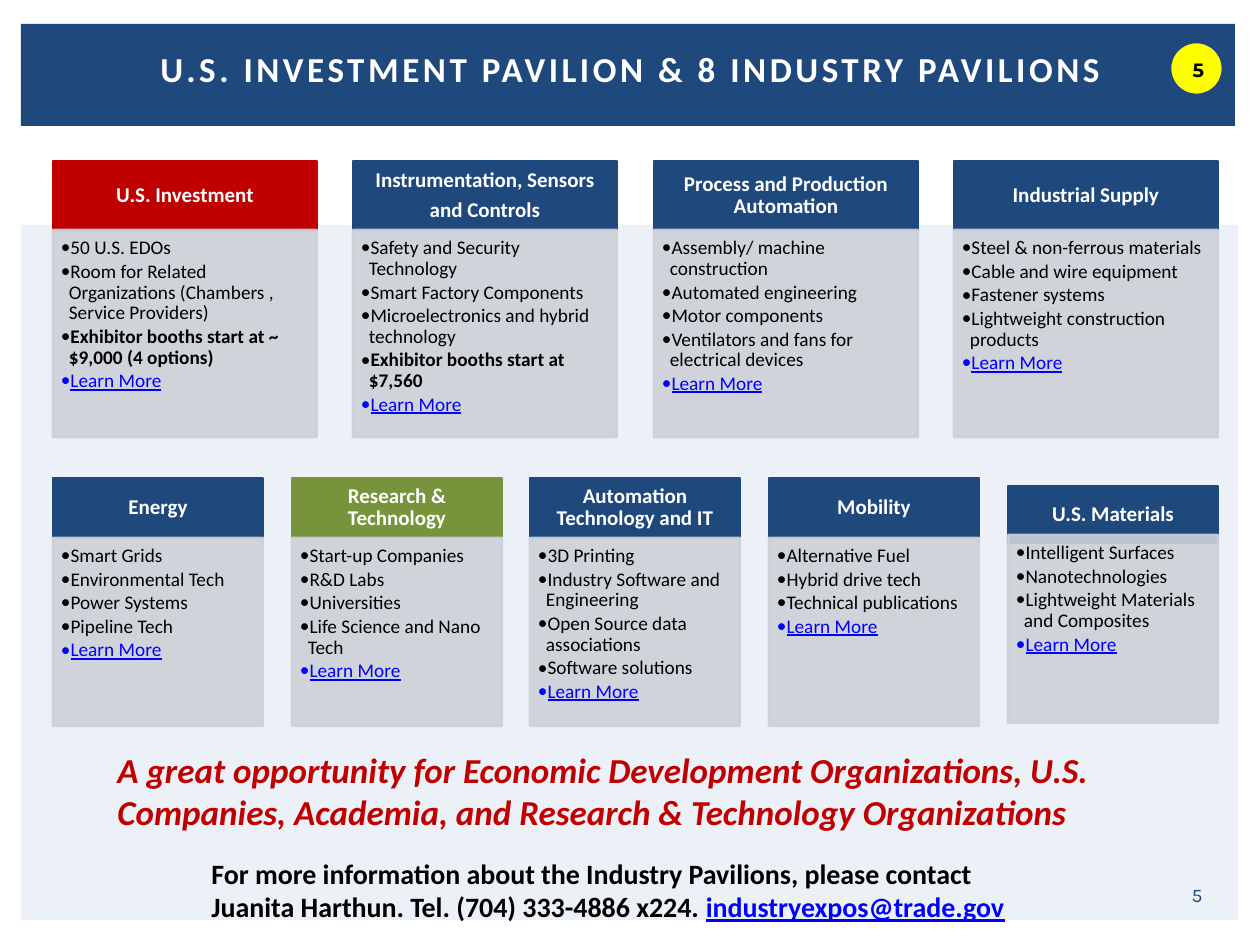
import dataclasses
import typing
import pptx
import pptx.dml.color
import pptx.enum.shapes
import pptx.enum.text
import pptx.oxml
import pptx.oxml.ns
import pptx.util

DPI = 126
NAVY, RED, GREEN = "1F497D", "C00000", "77933C"
WHITE, BLACK, BLUE = "FFFFFF", "000000", "0000FF"
GREY, PALE, YELLOW = "CDD0D7", "ECF1F8", "FFFF00"
KIND = pptx.enum.shapes.MSO_SHAPE
ALIGN = pptx.enum.text.PP_ALIGN
ANCHOR = pptx.enum.text.MSO_ANCHOR


class Box(typing.NamedTuple):
    x: int
    y: int
    w: int
    h: int


@dataclasses.dataclass
class Card:
    head: list[str]
    items: list[str]
    price: str = ""
    hue: str = NAVY


@dataclasses.dataclass
class Row:
    cards: list[Card]
    width: int
    top: int
    head: int
    body: int
    depth: int


TOP = Row([
    Card(["U.S. Investment"],
         ["50 U.S. EDOs",
          "Room for Related Organizations (Chambers , Service Providers)"],
         "Exhibitor booths start at ~ $9,000 (4 options)", RED),
    Card(["Instrumentation, Sensors", "and Controls"],
         ["Safety and Security Technology", "Smart Factory Components",
          "Microelectronics and hybrid technology"],
         "Exhibitor booths start at $7,560"),
    Card(["Process and Production Automation"],
         ["Assembly/ machine construction", "Automated engineering",
          "Motor components", "Ventilators and fans for electrical devices"]),
    Card(["Industrial Supply"],
         ["Steel & non-ferrous materials", "Cable and wire equipment",
          "Fastener systems", "Lightweight construction products"]),
], 264, 161, 69, 230, 207)

LOW = Row([
    Card(["Energy"], ["Smart Grids", "Environmental Tech", "Power Systems",
                      "Pipeline Tech"]),
    Card(["Research & Technology"],
         ["Start-up Companies", "R&D Labs", "Universities",
          "Life Science and Nano Tech"], hue=GREEN),
    Card(["Automation Technology and IT"],
         ["3D Printing", "Industry Software and Engineering",
          "Open Source data associations", "Software solutions"]),
    Card(["Mobility"], ["Alternative Fuel", "Hybrid drive tech",
                        "Technical publications"]),
    Card(["U.S. Materials"],
         ["Intelligent Surfaces", "Nanotechnologies",
          "Lightweight Materials and Composites"]),
], 210, 478, 59, 538, 188)


def px(n: int) -> pptx.util.Emu:
    return pptx.util.Emu(round(n * 914400 / DPI))


def tint(color, hue: str) -> None:
    color.rgb = pptx.dml.color.RGBColor.from_string(hue)


def fade(shape, share: int) -> None:
    """Give the fill and line of a shape the same opacity."""
    for clr in shape._element.spPr.iter(pptx.oxml.ns.qn("a:srgbClr")):
        alpha = pptx.oxml.parse_xml(
            '<a:alpha %s val="%d"/>' % (pptx.oxml.ns.nsdecls("a"), share * 1000))
        clr.append(alpha)


def place(shape, box: Box) -> None:
    names = ("left", "top", "width", "height")
    for name, n in zip(names, box):
        setattr(shape, name, px(n))


def inset(frame, *sides: int) -> None:
    for name, n in zip(("left", "top", "right", "bottom"), sides):
        setattr(frame, "margin_" + name, px(n))


def block(slide, box: Box, hue: str, edge: str = "", kind=KIND.RECTANGLE):
    shape = slide.shapes.add_shape(kind, *map(px, box))
    shape.shadow.inherit = False
    shape.fill.solid()
    tint(shape.fill.fore_color, hue)
    if edge:
        tint(shape.line.color, edge)
        shape.line.width = pptx.util.Pt(1.5)
    else:
        shape.line.fill.background()
    return shape


def label(slide, box: Box):
    frame = slide.shapes.add_textbox(*map(px, box)).text_frame
    frame.word_wrap = True
    return frame


def line(frame, first: bool, **form):
    para = frame.paragraphs[0] if first else frame.add_paragraph()
    for name, val in form.items():
        setattr(para, name, val)
    return para


def write(para, text: str, size: int, hue: str, face: str = "Calibri", **form):
    run = para.add_run()
    run.text = text
    form = {"name": face, "size": pptx.util.Pt(size), **form}
    for name, val in form.items():
        setattr(run.font, name, val)
    tint(run.font.color, hue)
    return run


def bullet(para) -> None:
    props = para._p.get_or_add_pPr()
    props.set("marL", str(px(8)))
    props.set("indent", str(-px(8)))
    space = pptx.oxml.ns.nsdecls("a")
    for tag in ('buFont %s typeface="Calibri"', 'buChar %s char="••"'):
        props.append(pptx.oxml.parse_xml("<a:" + tag % space + "/>"))


def draw_card(slide, card: Card, head: Box, body: Box) -> None:
    # Heading bar
    frame = block(slide, head, card.hue, card.hue).text_frame
    inset(frame, 11, 6, 11, 6)
    for i, text in enumerate(card.head):
        para = line(frame, i == 0, alignment=ALIGN.CENTER, line_spacing=0.9,
                    space_after=pptx.util.Pt(4.5))
        write(para, text, 12, WHITE, bold=True)
    # List panel
    panel = block(slide, body, GREY, GREY)
    fade(panel, 90)
    frame = panel.text_frame
    frame.vertical_anchor = ANCHOR.TOP
    inset(frame, 8, 8, 11, 13)
    rows = [(text, BLACK, {}) for text in card.items]
    if card.price:
        rows.append((card.price, BLACK, {"bold": True}))
    rows.append(("Learn More", BLUE, {"underline": True}))
    for i, (text, hue, form) in enumerate(rows):
        para = line(frame, i == 0, alignment=ALIGN.LEFT, line_spacing=0.9,
                    space_after=pptx.util.Pt(1.6))
        bullet(para)
        write(para, text, 11, hue, **form)


def draw_row(slide, row: Row, left: int = 53, right: int = 1218) -> None:
    step = (right - left - row.width) / (len(row.cards) - 1)
    for i, card in enumerate(row.cards):
        x = round(left + i * step)
        head = Box(x, row.top, row.width, row.head)
        body = Box(x, row.body, row.width, row.depth)
        # The last card of the lower row sits with its panel over its heading
        if row is LOW and card is row.cards[-1]:
            head = head._replace(y=row.top + 8, h=row.head - 2)
            body = body._replace(y=row.body - 3)
        draw_card(slide, card, head, body)


def main() -> None:
    deck = pptx.Presentation()
    deck.slide_width, deck.slide_height = px(1260), px(945)
    slide = deck.slides.add_slide(deck.slide_layouts[5])

    # Backdrop and banner
    block(slide, Box(21, 225, 1217, 695), PALE)
    block(slide, Box(21, 24, 1214, 102), NAVY)

    # Title, brought in front of the banner
    title = slide.shapes.title
    slide.shapes._spTree.append(title._element)
    place(title, Box(32, 11, 1197, 116))
    title.text_frame.auto_size = pptx.enum.text.MSO_AUTO_SIZE.NONE
    title.text_frame.vertical_anchor = ANCHOR.MIDDLE
    para = line(title.text_frame, True, alignment=ALIGN.CENTER)
    run = write(para, "U.S. INVESTMENT PAVILION & 8 INDUSTRY PAVILIONS",
                20, WHITE, bold=True)
    run.font._element.set("spc", "200")

    # Pavilion cards
    draw_row(slide, TOP)
    draw_row(slide, LOW)

    # Page number and badge
    frame = label(slide, Box(1134, 876, 81, 38))
    frame.vertical_anchor = ANCHOR.MIDDLE
    write(line(frame, True, alignment=ALIGN.RIGHT), "5", 11, NAVY, "Karla")
    badge = block(slide, Box(1170, 42, 53, 53), YELLOW, NAVY, KIND.OVAL)
    inset(badge.text_frame, 4, 2, 0, 0)
    write(line(badge.text_frame, True, alignment=ALIGN.CENTER), "5", 11, BLACK,
          "Montserrat", bold=True)

    # Slogan and contact
    frame = label(slide, Box(105, 742, 1084, 97))
    write(line(frame, True),
          "A great opportunity for Economic Development Organizations, U.S. "
          "Companies, Academia, and Research & Technology Organizations",
          20, RED, bold=True, italic=True)
    frame = label(slide, Box(199, 850, 851, 81))
    write(line(frame, True), "For more information about the Industry "
          "Pavilions, please contact", 16, BLACK, bold=True)
    para = line(frame, False)
    write(para, "Juanita Harthun. Tel. (704) 333-4886 x224. ", 16, BLACK,
          bold=True)
    write(para, "industryexpos@trade.gov", 16, BLUE, bold=True, underline=True)

    deck.save("out.pptx")


if __name__ == "__main__":
    main()
